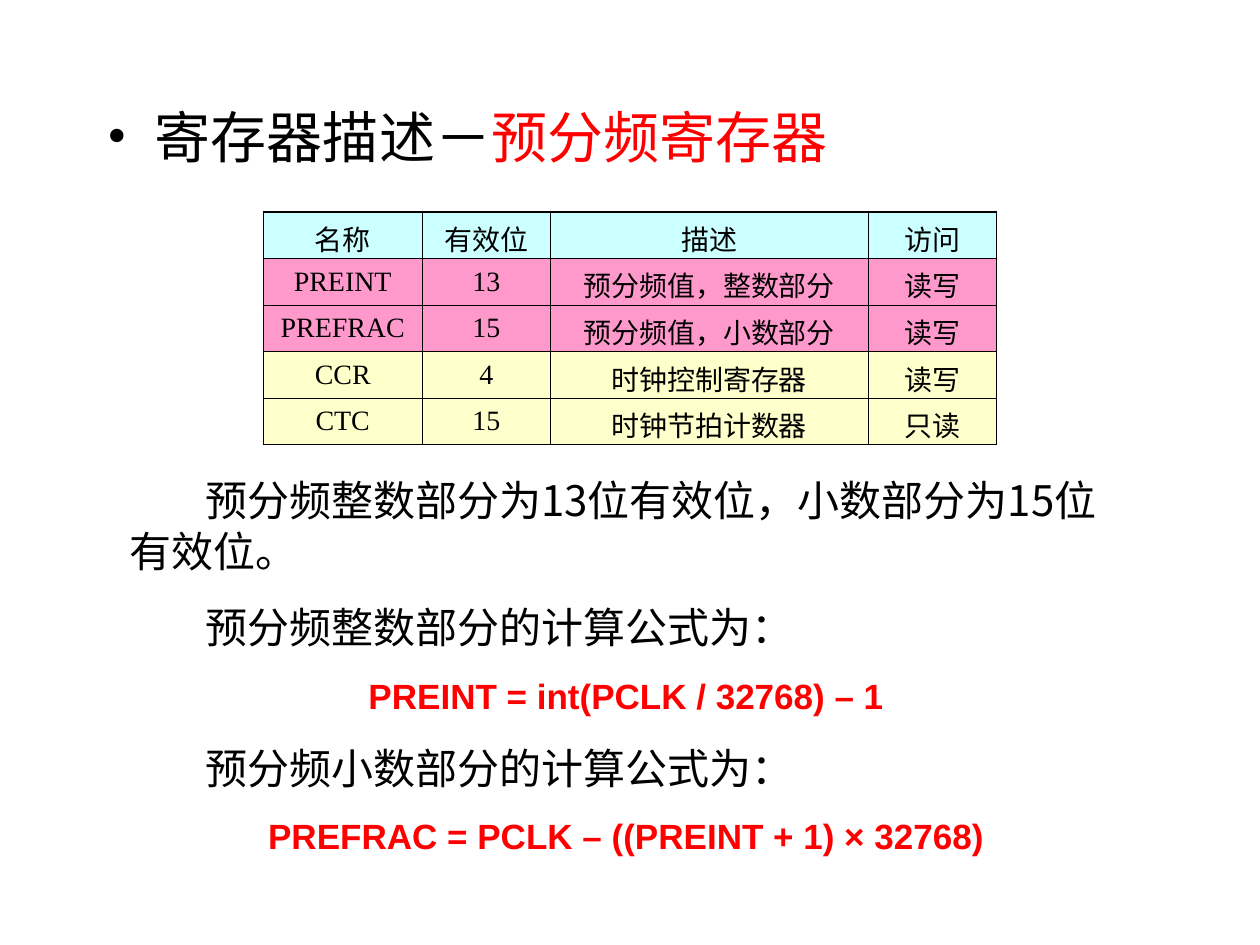
from pptx import Presentation
from pptx import util as u
from pptx.dml.color import RGBColor
from pptx.enum import text
from pptx.oxml.ns import qn
from lxml import etree

BLACK = RGBColor(0, 0, 0)
RED = RGBColor(255, 0, 0)
CYAN = RGBColor(0xCC, 0xFF, 0xFF)
PINK = RGBColor(0xFF, 0x99, 0xCC)
CREAM = RGBColor(0xFF, 0xFF, 0xCC)
SERIF, SANS, HAN = "Times New Roman", "Arial", "Noto Sans CJK JP"
THICK, THIN = 1.08, 0.45

HEAD = ("名称", "有效位", "描述", "访问")
SCALE = [
    ("PREINT", "13", "预分频值，整数部分", "读写"),
    ("PREFRAC", "15", "预分频值，小数部分", "读写"),
]
CLOCK = [
    ("CCR", "4", "时钟控制寄存器", "读写"),
    ("CTC", "15", "时钟节拍计数器", "只读"),
]
WIDTHS = (1.26, 1.02, 2.52, 1.02)
NOTES = [
    ("预分频整数部分为13位有效位，小数部分为15位有效位。", False),
    ("预分频整数部分的计算公式为：", False),
    ("PREINT = int(PCLK / 32768) – 1", True),
    ("预分频小数部分的计算公式为：", False),
    ("PREFRAC = PCLK – ((PREINT + 1) × 32768)", True),
]


def add_run(para, words, size, face, color, bold=False):
    run = para.add_run()
    run.text = words
    font = run.font
    font.size, font.name, font.bold = u.Pt(size), face, bold
    font.color.rgb = color
    han = etree.SubElement(run._r.get_or_add_rPr(), qn("a:ea"))
    han.set("typeface", HAN)


def set_box(shape, box):
    shape.left, shape.top, shape.width, shape.height = map(u.Inches, box)


def add_title(slide, box):
    title = slide.shapes.title
    set_box(title, box)
    frame = title.text_frame
    frame.vertical_anchor = text.MSO_ANCHOR.TOP
    frame.auto_size = text.MSO_AUTO_SIZE.NONE
    para = frame.paragraphs[0]
    props = para._p.get_or_add_pPr()
    props.set("marL", str(u.Inches(0.38)))
    props.set("indent", str(-u.Inches(0.38)))
    etree.SubElement(props, qn("a:buFont")).set("typeface", SERIF)
    etree.SubElement(props, qn("a:buChar")).set("char", "•")
    para.alignment = text.PP_ALIGN.LEFT
    add_run(para, "寄存器描述－", 32, SERIF, BLACK)
    add_run(para, "预分频寄存器", 32, SERIF, RED)


def set_edge(cell, side, width):
    props = cell._tc.get_or_add_tcPr()
    line = etree.SubElement(props, qn("a:" + side), w=str(u.Pt(width)))
    fill = etree.SubElement(line, qn("a:solidFill"))
    etree.SubElement(fill, qn("a:srgbClr"), val=str(BLACK))


def add_grid(slide, box, rows, fills, rim):
    count, last = len(rows), len(WIDTHS) - 1
    frame = slide.shapes.add_table(count, last + 1, *map(u.Inches, box))
    grid = frame.table
    for col, size in zip(grid.columns, WIDTHS):
        col.width = u.Inches(size)
    for i, (words, color) in enumerate(zip(rows, fills)):
        for j, word in enumerate(words):
            cell = grid.cell(i, j)
            set_edge(cell, "lnL", THIN if j else THICK)
            set_edge(cell, "lnR", THICK if j == last else THIN)
            set_edge(cell, "lnT", THIN if i else rim)
            set_edge(cell, "lnB", rim if i == count - 1 else THIN)
            cell.fill.solid()
            cell.fill.fore_color.rgb = color
            cell.vertical_anchor = text.MSO_ANCHOR.MIDDLE
            para = cell.text_frame.paragraphs[0]
            para.alignment = text.PP_ALIGN.CENTER
            add_run(para, word, 16, SERIF, BLACK)


def add_notes(slide, box):
    frame = slide.shapes.add_textbox(*map(u.Inches, box)).text_frame
    frame.word_wrap = True
    for i, (words, math) in enumerate(NOTES):
        para = frame.add_paragraph() if i else frame.paragraphs[0]
        if i:
            para.space_before = u.Pt(12.5 if math else 15)
        if math:
            para.alignment = text.PP_ALIGN.CENTER
            add_run(para, words, 20, SANS, RED, True)
        else:
            para._p.get_or_add_pPr().set("indent", str(u.Inches(0.6)))
            add_run(para, words, 24, HAN, BLACK)


def main():
    deck = Presentation()
    deck.slide_width, deck.slide_height = u.Inches(10), u.Inches(7.5)
    slide = deck.slides.add_slide(deck.slide_layouts[5])
    add_title(slide, (0.75, 0.76, 8.11, 0.67))
    add_notes(slide, (0.93, 3.72, 8.08, 3.13))
    rows = [HEAD] + SCALE + CLOCK
    add_grid(slide, (2.09, 1.68, 5.82, 1.85), rows, [CYAN] + [CREAM] * 4, THICK)
    add_grid(slide, (2.09, 2.05, 5.82, 0.74), SCALE, [PINK] * 2, THIN)
    deck.save("out.pptx")


if __name__ == "__main__":
    main()
